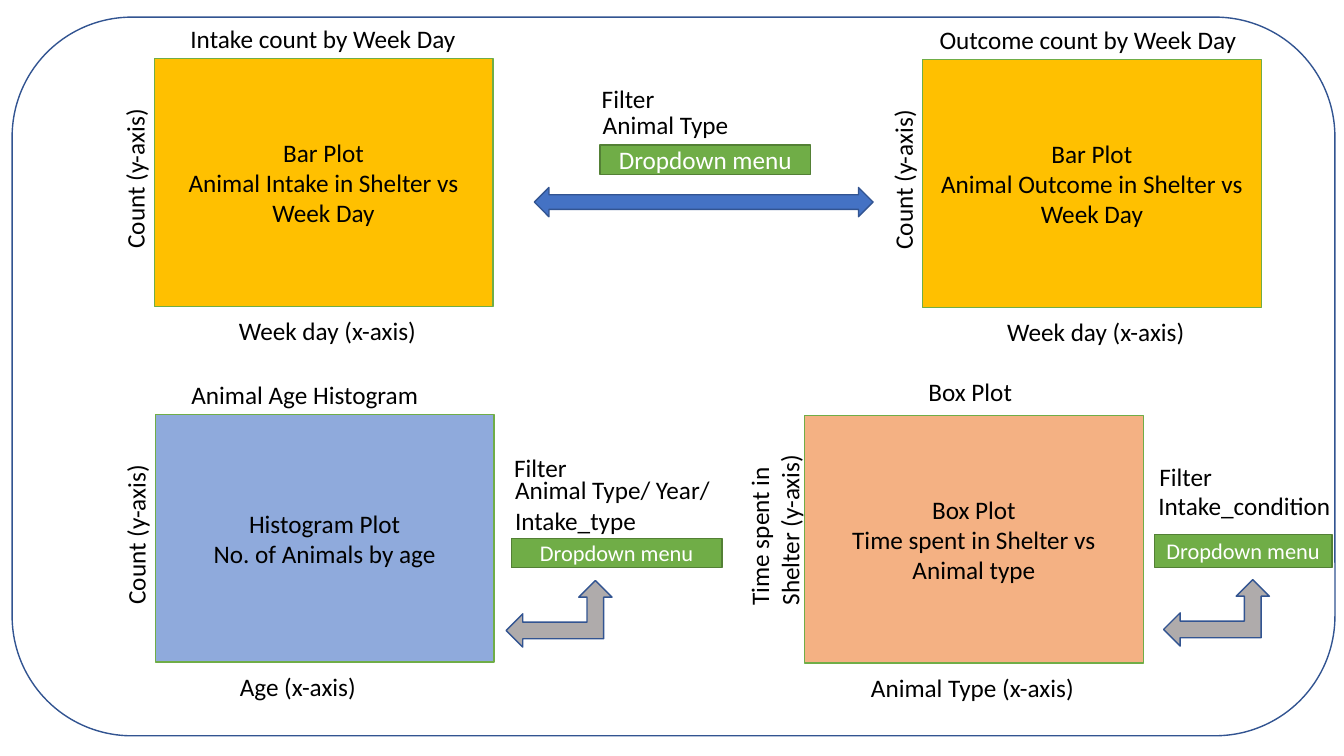
from pptx import Presentation
from pptx.dml.color import RGBColor
from pptx.enum.shapes import MSO_SHAPE
from pptx.enum.text import MSO_ANCHOR, MSO_AUTO_SIZE, PP_ALIGN
from pptx.util import Inches, Pt

ROUNDED = MSO_SHAPE.ROUNDED_RECTANGLE
RECTANGLE = MSO_SHAPE.RECTANGLE
PROCESS = MSO_SHAPE.FLOWCHART_PROCESS
DOUBLE_ARROW = MSO_SHAPE.LEFT_RIGHT_ARROW
BENT_ARROW = MSO_SHAPE.LEFT_UP_ARROW
MIDDLE = MSO_ANCHOR.MIDDLE
GROW = MSO_AUTO_SIZE.SHAPE_TO_FIT_TEXT
CENTER = PP_ALIGN.CENTER
LEFT = PP_ALIGN.LEFT

COLORS = {
    "white": "FFFFFF", "black": "000000", "navy": "325491", "blue": "4472C4",
    "green": "70AD47", "dark_green": "538035", "gold": "FFC000",
    "periwinkle": "8FAADC", "peach": "F4B183", "gray": "AFABAB",
}
FONT = "Calibri"
PLOT_WIDTH, PLOT_HEIGHT = 3.36, 2.46
Y_AXIS_WIDTH = 1.71
LINE_HEIGHT = 0.4


def color(name):
    return RGBColor.from_string(COLORS[name])


def write(frame, text, size, ink, align):
    frame.text = text
    frame.word_wrap = True
    for paragraph in frame.paragraphs:
        paragraph.alignment = align
        for run in paragraph.runs:
            run.font.name = FONT
            run.font.size = Pt(size)
            run.font.color.rgb = color(ink)


def add_block(slide, kind, box, fill, line, text="", size=18, ink="black"):
    block = slide.shapes.add_shape(kind, *map(Inches, box))
    block.shadow.inherit = False
    block.fill.solid()
    block.fill.fore_color.rgb = color(fill)
    block.line.color.rgb = color(line)
    block.line.width = Pt(1)
    if text:
        block.text_frame.vertical_anchor = MIDDLE
        write(block.text_frame, text, size, ink, CENTER)


def add_label(slide, box, text, rotation=0):
    label = slide.shapes.add_textbox(*map(Inches, box))
    label.rotation = rotation
    write(label.text_frame, text, 18, "black", LEFT)
    label.text_frame.auto_size = GROW


def add_plot(slide, left, top, fill, text, title, x_axis, y_axis):
    add_block(slide, RECTANGLE, (left, top, PLOT_WIDTH, PLOT_HEIGHT), fill, "green", text)
    title_text, title_dx, title_dy, title_width = title
    add_label(slide, (left + title_dx, top + title_dy, title_width, LINE_HEIGHT), title_text)
    x_text, x_dx, x_width = x_axis
    add_label(slide, (left + x_dx, top + 2.5, x_width, LINE_HEIGHT), x_text)
    y_text, y_dx, y_height = y_axis
    y_top = top + 1.13 - y_height / 2
    add_label(slide, (left + y_dx, y_top, Y_AXIS_WIDTH, y_height), y_text, 270)


def add_filter(slide, left, top, width, height, size, labels, arrow):
    for text, dx, dy, label_width, label_height in labels:
        add_label(slide, (left + dx, top + dy, label_width, label_height), text)
    add_block(slide, PROCESS, (left, top, width, height), "green", "dark_green",
              "Dropdown menu", size, "white")
    kind, dx, dy, arrow_width, arrow_height, fill = arrow
    add_block(slide, kind, (left + dx, top + dy, arrow_width, arrow_height), fill, "navy")


def build_dashboard(slide, left, top, width, height):
    add_block(slide, ROUNDED, (left, top, width, height), "white", "navy")
    week_day = ("Week day (x-axis)", 0.74, 2.05)
    count = ("Count (y-axis)", -1.05, LINE_HEIGHT)
    plots = [
        (1.41, 0.41, "gold", "Bar Plot\nAnimal Intake in Shelter vs Week Day",
         ("Intake count by Week Day", 0.26, -0.4, 2.85), week_day, count),
        (9.03, 0.42, "gold", "Bar Plot\nAnimal Outcome in Shelter vs Week Day",
         ("Outcome count by Week Day", 0.07, -0.4, 3.31), week_day, count),
        (1.42, 3.94, "periwinkle", "Histogram Plot\nNo. of Animals by age",
         ("Animal Age Histogram", 0.26, -0.4, 2.85), ("Age (x-axis)", 0.74, 2.05), count),
        (7.86, 3.95, "peach", "Box Plot\nTime spent in Shelter vs Animal type",
         ("Box Plot", 1.13, -0.44, 1.54), ("Animal Type (x-axis)", 0.56, 2.23),
         ("Time spent in Shelter (y-axis)", -1.15, 0.71)),
    ]
    for dx, dy, *details in plots:
        add_plot(slide, left + dx, top + dy, *details)

    filters = [
        (5.83, 1.27, 2.09, 0.29, 18,
         [("Filter", -0.08, -0.66, 1.57, LINE_HEIGHT),
          ("Animal Type", -0.07, -0.4, 1.57, LINE_HEIGHT)],
         (DOUBLE_ARROW, -0.65, 0.42, 3.36, 0.29, "blue")),
        (4.95, 5.17, 2.09, 0.29, 16,
         [("Filter", -0.07, -0.9, 1.57, LINE_HEIGHT),
          ("Animal Type/ Year/\nIntake_type", -0.06, -0.68, 2.24, 0.71)],
         (BENT_ARROW, -0.05, 0.42, 1.05, 0.66, "gray")),
        (11.33, 5.13, 1.76, 0.33, 16,
         [("Filter", -0.05, -0.77, 1.57, LINE_HEIGHT),
          ("Intake_condition", -0.06, -0.48, 2.05, LINE_HEIGHT)],
         (BENT_ARROW, 0.09, 0.45, 1.05, 0.66, "gray")),
    ]
    for dx, dy, *details in filters:
        add_filter(slide, left + dx, top + dy, *details)


deck = Presentation()
deck.slide_width = Inches(13.33)
deck.slide_height = Inches(7.5)
dashboard = deck.slides.add_slide(deck.slide_layouts[6])
build_dashboard(dashboard, 0.12, 0.17, 13.12, 7.13)
deck.save("out.pptx")
